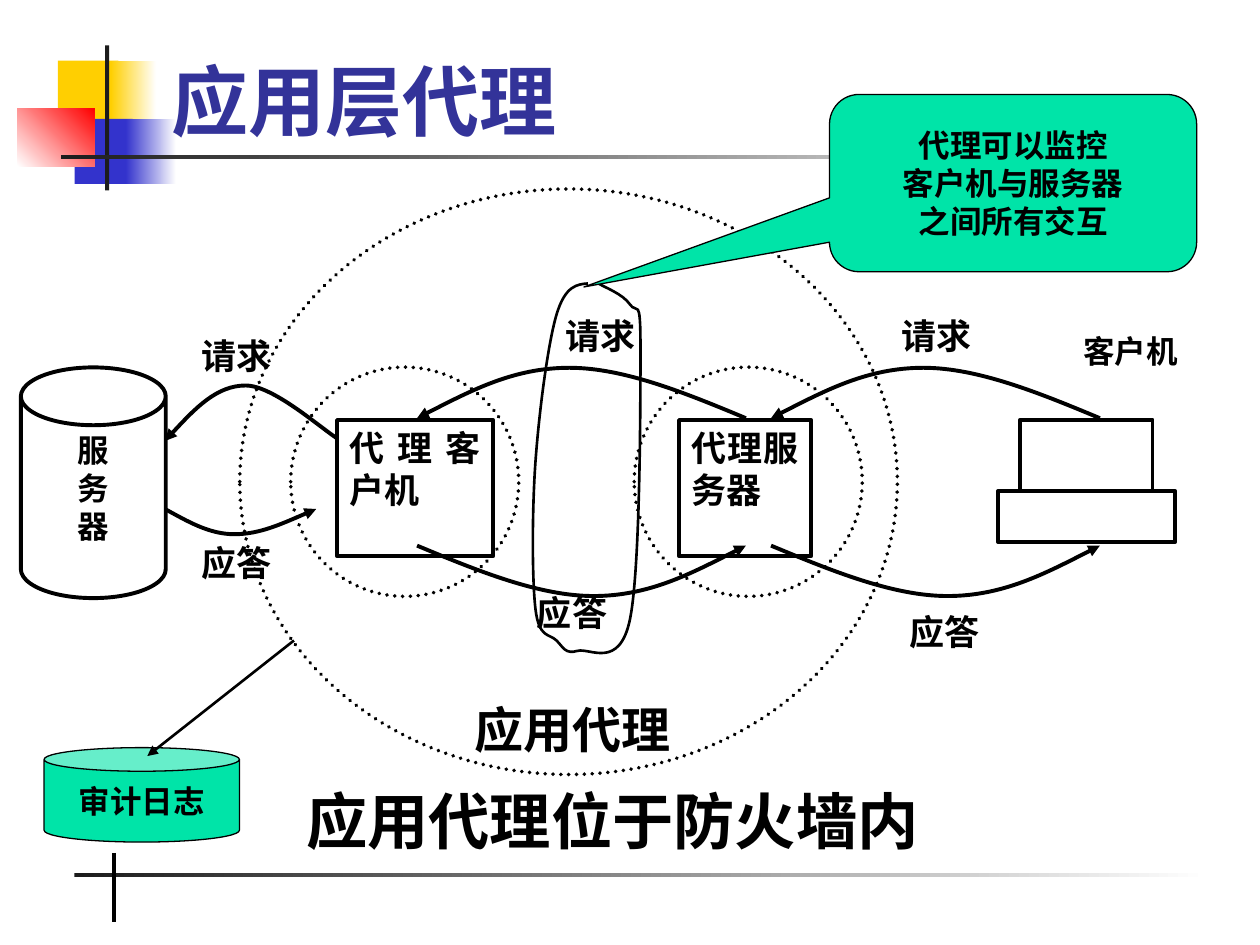
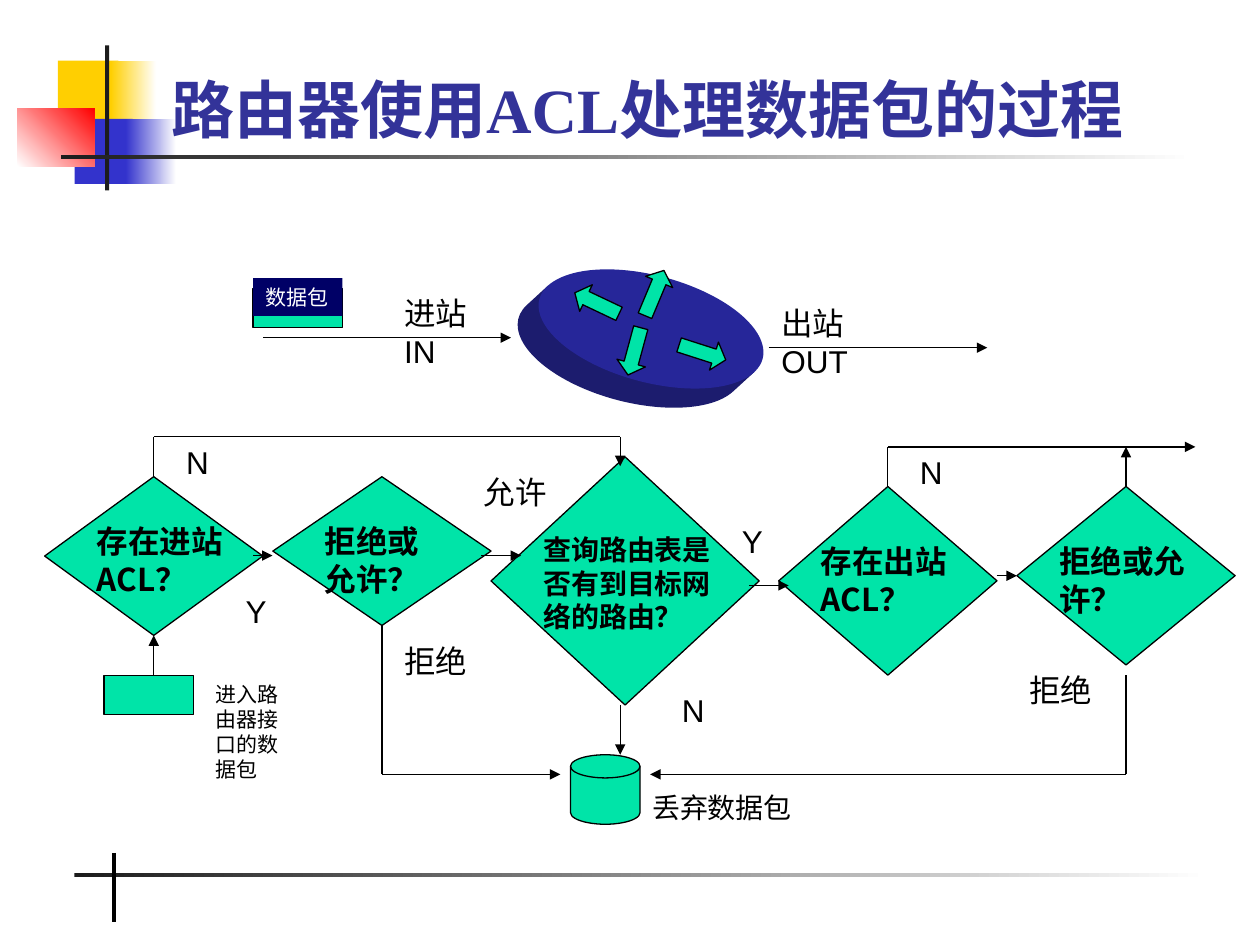
from math import atan2, cos, radians, sin

from lxml import etree
from pptx import Presentation
from pptx import util as u
from pptx.dml.color import RGBColor
from pptx.enum import dml, shapes, text
from pptx.oxml import ns

color = RGBColor.from_string
Pt = u.Pt
KIND = shapes.MSO_SHAPE
ALIGN = text.PP_ALIGN
ANCHOR = text.MSO_ANCHOR

BLACK, WHITE, MINT = "000000", "FFFFFF", "00E4A8"
YELLOW, BLUE, RED, INK = "FFCF01", "3333CC", "FF0000", "1C1C1C"
TITLE, NAVY, DISK_TOP, DISK_SIDE = "333399", "000066", "262699", "1C1C6E"
CJK = "Noto Sans CJK SC"


def add_box(slide, kind, box, fill=None, weight=0, words="", size=18, font="Arial",
            ink=BLACK, bold=False, align=ALIGN.LEFT, anchor=ANCHOR.TOP, adjust=()):
    """Add a preset shape, or a text box when kind is None."""
    box = [Pt(length) for length in box]
    if kind is None:
        shape = slide.shapes.add_textbox(*box)
    else:
        shape = slide.shapes.add_shape(kind, *box)
        shape.shadow.inherit = False
        for index, value in enumerate(adjust):
            shape.adjustments[index] = value
        if isinstance(fill, tuple):
            shape.fill.gradient()
            shape.fill.gradient_angle = fill[2]
            for stop, shade in zip(shape.fill.gradient_stops, fill):
                stop.color.rgb = color(shade)
        elif fill:
            shape.fill.solid()
            shape.fill.fore_color.rgb = color(fill)
        else:
            shape.fill.background()
        if weight:
            shape.line.color.rgb = color(BLACK)
            shape.line.width = Pt(weight)
        else:
            shape.line.fill.background()
    if words:
        frame = shape.text_frame
        frame.word_wrap = True
        frame.vertical_anchor = anchor
        for index, line in enumerate(words.split("\n")):
            paragraph = frame.add_paragraph() if index else frame.paragraphs[0]
            paragraph.alignment = align
            run = paragraph.add_run()
            run.text = line
            run.font.size = Pt(size)
            run.font.name = font
            run.font.bold = bold
            run.font.color.rgb = color(ink)
            east_asian = etree.SubElement(run.font._element, ns.qn("a:ea"))
            east_asian.set("typeface", CJK)
    return shape


def add_path(slide, points, weight=0.75, head=False, tail=False,
             fill=None, begin=None, end=None):
    """Add a connector for two points, otherwise a chain of Bezier curves."""
    if len(points) == 2:
        (x1, y1), (x2, y2) = points
        shape = slide.shapes.add_connector(
            shapes.MSO_CONNECTOR.STRAIGHT, Pt(x1), Pt(y1), Pt(x2), Pt(y2))
        if begin:
            shape.begin_connect(*begin)
        if end:
            shape.end_connect(*end)
    else:
        dots = [(Pt(x), Pt(y)) for x, y in points]
        builder = slide.shapes.build_freeform(*dots[0])
        builder.add_line_segments(dots[1:], close=bool(fill))
        shape = builder.convert_to_shape()
        # Every three line ends become the control points of one curve
        segments = list(shape.element.iter(ns.qn("a:lnTo")))
        for first in range(0, len(segments), 3):
            curve = etree.Element(ns.qn("a:cubicBezTo"))
            segments[first].addprevious(curve)
            for segment in segments[first:first + 3]:
                curve.append(segment[0])
                segment.getparent().remove(segment)
        if fill:
            shape.fill.solid()
            shape.fill.fore_color.rgb = color(fill)
        else:
            shape.fill.background()
    if weight:
        shape.line.color.rgb = color(BLACK)
        shape.line.width = Pt(weight)
    else:
        shape.line.fill.background()
    properties = shape.element.spPr
    outline = properties.find(ns.qn("a:ln"))
    for wanted, tag in ((head, "a:headEnd"), (tail, "a:tailEnd")):
        if wanted:
            etree.SubElement(outline, ns.qn(tag)).set("type", "triangle")
    etree.SubElement(properties, ns.qn("a:effectLst"))
    return shape


presentation = Presentation()
presentation.slide_width, presentation.slide_height = Pt(720), Pt(540)

# Shared frame and titles
frame_parts = [
    ((33.1, 34.6, 34.6, 37.4), YELLOW),
    ((63.4, 34.6, 25.9, 37.4), (YELLOW, WHITE, 0)),
    ((42.7, 68, 33.1, 37.2), BLUE),
    ((72, 68, 28.8, 37.2), (BLUE, WHITE, 0)),
    ((10, 61.9, 44, 33.1), (WHITE, RED, 45)),
    ((60.1, 26, 2.3, 82.8), INK),
    ((34.6, 88.6, 648, 2.2), (INK, WHITE, 0)),
    ((42.5, 499, 648, 2.2), (INK, WHITE, 0)),
]
slides = []
for title, size in (("应用层代理", 44), ("路由器使用ACL处理数据包的过程", 36)):
    slide = presentation.slides.add_slide(presentation.slide_layouts[6])
    for box, fill in frame_parts:
        add_box(slide, KIND.RECTANGLE, box, fill)
    add_path(slide, [(65.2, 487.4), (65.2, 527)], 2.25)
    add_box(slide, None, (90.7, 11.3, 613.4, 75.6), words=title, size=size, bold=True,
            font="Times New Roman", ink=TITLE, anchor=ANCHOR.BOTTOM)
    slides.append(slide)
proxy_slide, acl_slide = slides

# Proxy: request and answer labels
for word, left, top in (("请求", 108, 187.7), ("应答", 108, 306), ("应答", 299.8, 334.5),
                        ("应答", 512.9, 345.6), ("请求", 316, 176), ("请求", 508.3, 176)):
    add_box(proxy_slide, None, (left, top, 72, 44), words=word, size=20, font="Cabin",
            bold=True, align=ALIGN.JUSTIFY)

# Proxy: server, its two flows, proxy boxes and client computer
add_box(proxy_slide, KIND.CAN, (11.9, 210, 82.8, 131.8), WHITE, 2.25, "服\n务\n器",
        font="Cabin", bold=True, align=ALIGN.CENTER, adjust=[0.399])
add_path(proxy_slide, [(94.3, 252), (108.7, 236.2), (123.8, 220.3), (140.4, 220.3),
                       (157, 220.3), (185.8, 247), (195, 252)], 2.25, head=True)
add_path(proxy_slide, [(94.3, 290.9), (107.3, 298), (119.5, 305.3), (134, 305.3),
                       (148.3, 305.3), (164.2, 298), (180.7, 290.9)], 2.25, tail=True)
for words, left, width in (("代理客户机", 192.6, 89.3), ("代理服务器", 388, 75.6)):
    add_box(proxy_slide, KIND.RECTANGLE, (left, 240, width, 77.8), WHITE, 2.25, words,
            size=20, font="Cabin", bold=True, align=ALIGN.JUSTIFY)
for box in ((583, 239.8, 75.6, 44.6), (570.2, 280.8, 101.5, 28.8)):
    add_box(proxy_slide, KIND.RECTANGLE, box, WHITE, 2.25)

# Proxy: each answer curve is the request curve turned by half a circle
request = [(238.3, 239), (266.4, 224.6), (293.8, 210.2), (325.4, 210.2),
           (356.4, 210.2), (391.7, 224.6), (426.2, 239)]
answer = [(664.5 - x, 550.8 - y) for x, y in request]
for shift in (0, 202.3):
    for flow in (request, answer):
        add_path(proxy_slide, [(x + shift, y) for x, y in flow], 2.25, head=True)

# Proxy: zones with round dots
for box in ((137, 108, 375.8, 334.6), (166.1, 209.8, 130.3, 131), (362.4, 209.8, 130.3, 131)):
    zone = add_box(proxy_slide, KIND.OVAL, box, None, 2.25)
    zone.line.dash_style = dml.MSO_LINE.ROUND_DOT
    zone.element.spPr.find(ns.qn("a:ln")).set("cap", "rnd")

# Proxy: captions, monitored exchange, callout and audit log
add_box(proxy_slide, None, (264.2, 396, 130.3, 72.7), words="应用代理", size=28,
        font="Cabin", bold=True, align=ALIGN.JUSTIFY)
add_box(proxy_slide, None, (167.8, 444.2, 378, 49), words="应用代理位于防火墙内", size=35,
        font=CJK, bold=True)
add_box(proxy_slide, None, (612, 186, 86.4, 36), words="客户机", font="Cabin", bold=True)
add_path(proxy_slide, [
    (336, 162), (330, 162.5), (323, 163), (318, 180), (313, 197), (308, 236), (306, 264),
    (304, 292), (304, 331), (306, 348), (308, 365), (314, 362), (318, 366), (322, 370),
    (323, 374), (330, 372), (337, 370), (354, 383), (360, 354), (366, 325), (366, 228),
    (366, 198), (366, 168), (364, 180), (360, 174), (356, 168), (345, 164), (342, 162),
], 1.5)
add_box(proxy_slide, KIND.ROUNDED_RECTANGULAR_CALLOUT, (474, 54, 209.8, 101.3), MINT, 0.75,
        "代理可以监控\n客户机与服务器\n之间所有交互", font="Cabin", bold=True,
        align=ALIGN.CENTER, anchor=ANCHOR.MIDDLE, adjust=[-1.169, 0.586, 0.167])
add_box(proxy_slide, KIND.CAN, (25.2, 427.2, 111.6, 54), MINT, 0.75, "审计日志", font="Cabin",
        bold=True, align=ALIGN.CENTER, anchor=ANCHOR.MIDDLE, adjust=[0.25])
add_path(proxy_slide, [(168, 366), (84.2, 432)], 1.5, tail=True)

# ACL: router disk, its side swept down and left from the tilted top
center_x, center_y, radius_x, radius_y, tilt = 372, 188, 66, 30.5, 15
sweep_x, sweep_y = -12, 11
turn_cos, turn_sin = cos(radians(tilt)), sin(radians(tilt))
facing = atan2((sweep_y * turn_cos - sweep_x * turn_sin) / radius_y,
               (sweep_x * turn_cos + sweep_y * turn_sin) / radius_x)
front_x, front_y = radius_x * cos(facing), radius_y * sin(facing)
edge_x, edge_y = -radius_x * sin(facing), radius_y * cos(facing)
BEND = 0.55
side = []
# Each point: share of the edge vector, of the front vector and of the sweep
for edge, front, sweep in ((-1, 0, 0), (-1, 0, 0), (-1, 0, 1), (-1, 0, 1),
                           (-1, BEND, 1), (-BEND, 1, 1), (0, 1, 1),
                           (BEND, 1, 1), (1, BEND, 1), (1, 0, 1),
                           (1, 0, 1), (1, 0, 0), (1, 0, 0)):
    x, y = edge * edge_x + front * front_x, edge * edge_y + front * front_y
    side.append((center_x + x * turn_cos - y * turn_sin + sweep * sweep_x,
                 center_y + x * turn_sin + y * turn_cos + sweep * sweep_y))
add_path(acl_slide, side, 0, fill=DISK_SIDE)
disk = add_box(acl_slide, KIND.OVAL, (center_x - radius_x, center_y - radius_y,
                                      2 * radius_x, 2 * radius_y), DISK_TOP)
disk.rotation = tilt
for left, top, angle in ((387.4, 193, 17.8), (327.1, 164.9, 205.4),
                         (348.5, 192.4, 105.1), (360, 159.1, 292.7)):
    arrow = add_box(acl_slide, KIND.RIGHT_ARROW, (left, top, 28, 16.8), MINT, 0.75,
                    adjust=[0.5, 0.42])
    arrow.rotation = angle

# ACL: traffic through the router
add_path(acl_slide, [(150.3, 193), (292, 193)], tail=True)
add_path(acl_slide, [(439.2, 198.7), (564.2, 198.7)], tail=True)

# ACL: decisions, with their questions laid over them
decisions = [add_box(acl_slide, KIND.FLOWCHART_DECISION, box, MINT, 0.75) for box in (
    (25.5, 272.4, 124.7, 90.7), (155.9, 272.4, 124.7, 85), (280.6, 261.1, 153.2, 141.8),
    (445, 278, 124.7, 107.8), (581.1, 278, 124.7, 102))]
entry_acl, entry_verdict, routing, exit_acl, exit_verdict = decisions
for words, box, size, font in (
        ("存在进站ACL？", (48.2, 295, 96.5, 50.4), 18, CJK),
        ("拒绝或允许？", (178.6, 295, 79.2, 50.4), 18, "Arial"),
        ("查询路由表是否有到目标网络的路由？", (303.4, 300.8, 118.8, 64.8), 16, "Arial"),
        ("拒绝或允许？", (598.3, 306.4, 96.5, 50.4), 18, "Arial"),
        ("存在出站ACL？", (461.9, 306.4, 96.5, 50.4), 18, CJK)):
    add_box(acl_slide, None, box, words=words, size=size, font=font, bold=True)

# ACL: packets and discard store
for left, top in ((59.5, 386), (144.6, 164.9)):
    add_box(acl_slide, KIND.RECTANGLE, (left, top, 51.1, 22.3), MINT, 0.75)
add_box(acl_slide, KIND.RECTANGLE, (144.6, 158.9, 51.1, 21.6), NAVY, 0, "数据包", size=12,
        ink=WHITE)
add_box(acl_slide, KIND.FLOWCHART_MAGNETIC_DISK, (326, 431.3, 39.7, 39.7), MINT, 0.75)

# ACL: flow lines (points, arrowhead, joined start, joined end)
for points, tail, begin, end in (
        ([(144.7, 317.5), (155.7, 317.5)], True, None, None),
        ([(275, 317.5), (297.8, 317.5)], True, None, None),
        ([(427.9, 334.6), (450.7, 334.6)], True, None, None),
        ([(569.5, 329), (581.1, 329)], True, None, (exit_verdict, 1)),
        ([(87.85, 272.4), (87.85, 272.4)], False, None, None),
        ([(87.85, 272.4), (87.85, 249.6)], False, (entry_acl, 0), None),
        ([(87.85, 249.6), (354.4, 249.6)], False, None, None),
        ([(354.4, 249.6), (354.4, 266.4)], True, None, None),
        ([(87.85, 386), (87.85, 363.1)], True, None, (entry_acl, 2)),
        ([(218.25, 357.4), (218.25, 442.5)], False, (entry_verdict, 2), None),
        ([(218.25, 442.5), (320.2, 442.5)], True, None, None),
        ([(354.4, 403), (354.4, 431.3)], True, None, None),
        ([(643.45, 386), (643.45, 442.5)], False, None, None),
        ([(643.45, 442.5), (371.5, 442.5)], True, None, None),
        ([(507.35, 278), (507.35, 255.4)], False, (exit_acl, 0), None),
        ([(507.35, 255.4), (683.1, 255.4)], True, None, None),
        ([(643.45, 278), (643.45, 255.4)], True, (exit_verdict, 0), None)):
    add_path(acl_slide, points, tail=tail, begin=begin, end=end)

# ACL: branch labels and notes
for words, left, top, width, size in (
        ("N", 382.6, 391.4, 39.6, 18), ("N", 518.6, 255.4, 39.6, 18),
        ("N", 99.2, 249.7, 39.6, 18), ("Y", 133.2, 334.6, 39.6, 18),
        ("允许", 269.3, 266.7, 56.9, 18), ("拒绝", 223.9, 363.1, 56.9, 18),
        ("拒绝", 581.1, 379.9, 56.9, 18), ("Y", 416.9, 295, 39.6, 18),
        ("进入路由器接口的数据包", 115.9, 385.8, 51.1, 12),
        ("丢弃数据包", 365.6, 448.2, 124.6, 16),
        ("出站OUT", 439.4, 170.2, 68, 18), ("进站IN", 223.9, 164.6, 68, 18)):
    add_box(acl_slide, None, (left, top, width, 28.8), words=words, size=size)

presentation.save("out.pptx")
